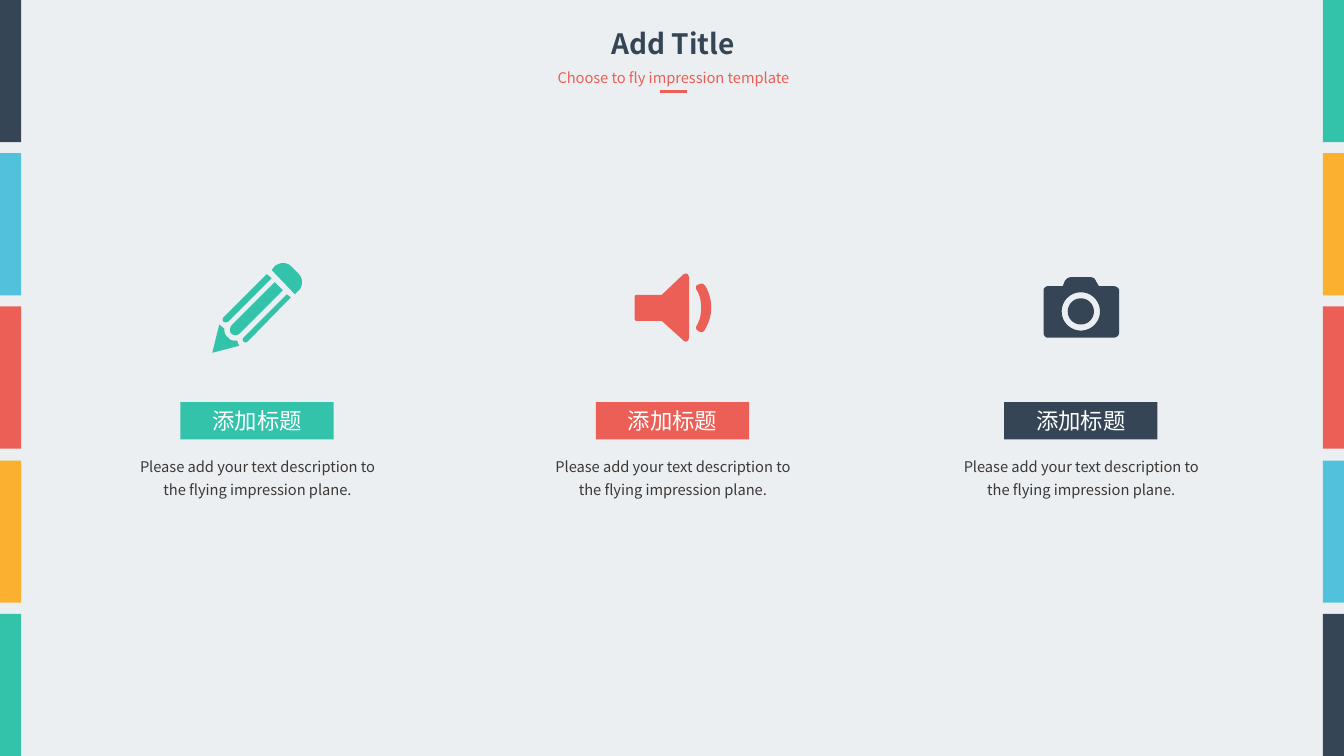
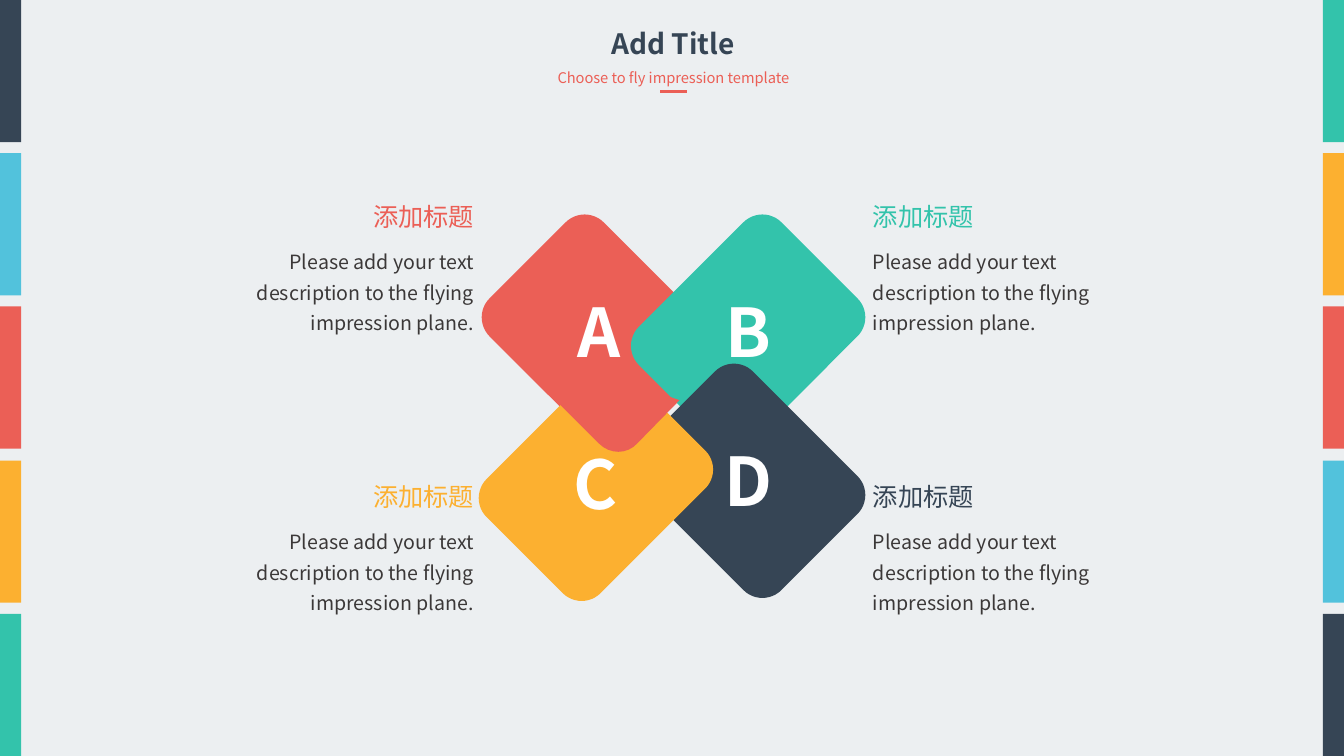
import math

from lxml import etree
from pptx import Presentation
from pptx import util as u
from pptx.dml.color import RGBColor
from pptx.enum import shapes, text
from pptx.oxml.ns import qn

PX = 9144  # 100 px to the inch
WIDTH, HEIGHT = 1333, 750

FONT = "Noto Sans CJK SC"
PAPER, INK, WHITE = "ECEFF1", "3B3838", "FFFFFF"
GREEN, AMBER, RED, BLUE, NAVY = "33C3AB", "FCB030", "EB5F56", "52C2DC", "364555"
BAND_COLOURS = [GREEN, AMBER, RED, BLUE, NAVY]

LEFT, CENTRE, RIGHT = text.PP_ALIGN.LEFT, text.PP_ALIGN.CENTER, text.PP_ALIGN.RIGHT
RECT = shapes.MSO_SHAPE.RECTANGLE
ROUNDED = shapes.MSO_SHAPE.ROUNDED_RECTANGLE

HEADING = "添加标题"
DESCRIPTION = "Please add your text description to the flying impression plane."


def colour(value):
    return RGBColor.from_string(value)


def emu(*lengths):
    return [round(length * PX) for length in lengths]


# Text and shapes

def write(shape, words, size, ink, align=CENTRE, bold=False, spacing=None,
          anchor=text.MSO_ANCHOR.TOP):
    frame = shape.text_frame
    frame.word_wrap = True
    frame.auto_size = text.MSO_AUTO_SIZE.NONE
    frame.vertical_anchor = anchor
    frame.text = words
    para = frame.paragraphs[0]
    para.alignment = align
    if spacing:
        para.line_spacing = spacing
    span = para.runs[0]
    span.font.size = u.Pt(size)
    span.font.bold = bold
    span.font.color.rgb = colour(ink)
    span.font.name = FONT
    east_asian = etree.SubElement(span._r.get_or_add_rPr(), qn("a:ea"))
    east_asian.set("typeface", FONT)


def add_text(page, box, words, size, ink, **style):
    write(page.shapes.add_textbox(*emu(*box)), words, size, ink, **style)


def paint(shape, fill):
    shape.shadow.inherit = False
    shape.fill.solid()
    shape.fill.fore_color.rgb = colour(fill)
    shape.line.fill.background()


def add_block(page, kind, box, fill):
    block = page.shapes.add_shape(kind, *emu(*box))
    paint(block, fill)
    return block


# Outlines: a pair is a straight step, six numbers are a Bezier step

def flatten(contour, steps=8):
    points = []
    for step in contour:
        if len(step) == 2:
            points.append(step)
            continue
        corners = [points[-1], step[:2], step[2:4], step[4:]]
        for i in range(1, steps + 1):
            t = i / steps
            weights = [(1 - t) ** 3, 3 * t * (1 - t) ** 2, 3 * t * t * (1 - t), t ** 3]
            points.append(tuple(sum(w * corner[axis] for w, corner in zip(weights, corners))
                                for axis in (0, 1)))
    return points


def circle(x, y, radius, count=48):
    angles = [2 * math.pi * i / count for i in range(count)]
    return [(x + radius * math.cos(a), y + radius * math.sin(a)) for a in angles]


def add_outline(page, left, top, contours, fill):
    builder = None
    for contour in contours:
        points = [emu(left + x, top + y) for x, y in flatten(contour)]
        if builder is None:
            builder = page.shapes.build_freeform(*points[0], scale=1.0)
        else:
            builder.move_to(*points[0])
        builder.add_line_segments(points[1:], close=True)
    paint(builder.convert_to_shape(), fill)


PENCIL = [
    [(86, 28), (82, 32), (59, 8), (62, 4), (67, 0, 74, 0, 78, 4), (86, 12),
     (90, 16, 90, 24, 86, 28)],
    [(31, 75), (30, 76, 30, 78, 31, 79), (32, 80, 34, 80, 35, 79), (78, 35), (74, 32)],
    [(11, 55), (10, 56, 10, 58, 11, 59), (12, 60, 14, 60, 16, 59), (59, 16), (54, 12)],
    [(62, 20), (19, 63), (17, 66, 17, 69, 19, 71), (21, 73, 25, 73, 27, 71), (70, 28)],
    [(27, 83), (26, 82, 25, 80, 25, 78), (23, 78), (20, 78, 17, 77, 16, 75),
     (13, 73, 12, 70, 12, 67), (12, 66), (7, 62), (0, 90)],
]
SPEAKER = [
    [(47, 2), (49, 0, 50, 0, 52, 0), (53, 1, 54, 2, 54, 5), (54, 62),
     (54, 65, 53, 67, 52, 67), (50, 68, 49, 67, 47, 65), (27, 47), (2, 47),
     (1, 47, 0, 46, 0, 44), (0, 23), (0, 22, 1, 21, 2, 21), (27, 21)],
    [(63, 11), (65, 10, 66, 10, 67, 10), (68, 10, 69, 11, 70, 12),
     (74, 19, 76, 26, 76, 34), (76, 41, 74, 48, 70, 55), (69, 57, 68, 58, 66, 58),
     (65, 58, 64, 57, 63, 57), (62, 56, 61, 55, 61, 54), (61, 53, 61, 52, 62, 51),
     (65, 45, 66, 40, 66, 34), (66, 28, 65, 22, 62, 17), (61, 16, 61, 15, 61, 13),
     (61, 12, 62, 11, 63, 11)],
]
CAMERA = [
    [(70, 9), (72, 9, 75, 11, 75, 13), (75, 55), (75, 58, 72, 60, 70, 60), (4, 60),
     (2, 60, 0, 58, 0, 55), (0, 13), (0, 11, 2, 9, 4, 9), (19, 9), (21, 4),
     (23, 1, 25, 0, 28, 0), (46, 0), (49, 0, 51, 1, 52, 4), (55, 9)],
    circle(37, 34, 19),
    circle(37, 34, 13),
]
# Lower corner of diamond A, laid over diamond C
OVERLAP = [[(0, 7), (30, 7, 56, 0, 85, 0), (122, 12), (113, 21, 120, 24, 150, 34),
            (108, 77), (98, 88, 81, 88, 70, 77)]]


# Shared parts

def add_bands(page):
    wide, tall = 21, 141
    pitch = (HEIGHT - tall) / (len(BAND_COLOURS) - 1)
    for left, fills in ((0, BAND_COLOURS[::-1]), (WIDTH - wide, BAND_COLOURS)):
        for i, fill in enumerate(fills):
            add_block(page, RECT, (left, round(i * pitch), wide, tall), fill)


def add_header(page):
    title = page.shapes.title
    title.left, title.top, title.width, title.height = emu(568, 21, 199, 44)
    write(title, "Add Title", 20, NAVY, bold=True)
    add_text(page, (493, 58, 350, 31), "Choose to fly impression template", 10.5, RED,
             spacing=1.3)
    rule = page.shapes.add_connector(shapes.MSO_CONNECTOR.STRAIGHT, *emu(655, 91, 681, 91))
    rule.line.color.rgb = colour(RED)
    rule.line.width = u.Pt(2.25)
    etree.SubElement(rule._element.spPr, qn("a:effectLst"))


def add_page(deck):
    page = deck.slides.add_slide(deck.slide_layouts[5])
    add_bands(page)
    add_header(page)
    return page


# Icon slide

def add_icon_column(page, left, top, icon, size, fill):
    column, middle = 271, 45
    wide, tall = size
    add_outline(page, left + (column - wide) / 2, top + middle - tall / 2, icon, fill)
    label = add_block(page, RECT, (left + 59, top + 139, 152, 37), fill)
    write(label, HEADING, 16, WHITE, anchor=text.MSO_ANCHOR.MIDDLE)
    add_text(page, (left, top + 184, column, 54), DESCRIPTION, 10.5, INK, spacing=1.3)


def build_icon_slide(deck):
    page = add_page(deck)
    for left, icon, size, fill in ((120, PENCIL, (90, 90), GREEN),
                                   (532, SPEAKER, (76, 67), RED),
                                   (937, CAMERA, (75, 60), NAVY)):
        add_icon_column(page, left, 260, icon, size, fill)


# Diamond slide

def add_caption(page, left, top, wide, align, ink):
    heading = 120
    indent = wide - heading if align == RIGHT else 0
    add_text(page, (left + indent, top, heading, 40), HEADING, 18, ink, align=align)
    add_text(page, (left, top + 41, wide, 102), DESCRIPTION, 14, INK, align=align,
             spacing=1.3)


def add_diamond(page, x, y, wide, tall, fill):
    diamond = add_block(page, ROUNDED, (x - wide / 2, y - tall / 2, wide, tall), fill)
    diamond.rotation = 45


def build_diamond_slide(deck):
    page = add_page(deck)
    long, short = 200, 160
    diamonds = [("A", 594, 329, long, short, RED), ("B", 742, 329, short, long, GREEN),
                ("D", 742, 477, long, short, NAVY), ("C", 591, 480, short, long, AMBER)]
    for _, *place in diamonds:
        add_diamond(page, *place)
    add_outline(page, 524, 363, OVERLAP, RED)
    for letter, x, y, *_ in diamonds:
        add_text(page, (x - 60, y - 46, 120, 91), letter, 48, WHITE, bold=True)

    captions = ((195, RED, GREEN), (473, AMBER, NAVY))
    for top, left_ink, right_ink in captions:
        add_caption(page, 172, top, 308, RIGHT, left_ink)
        add_caption(page, 856, top, 305, LEFT, right_ink)


def main():
    deck = Presentation()
    deck.slide_width, deck.slide_height = emu(WIDTH, HEIGHT)
    backdrop = deck.slide_master.background.fill
    backdrop.solid()
    backdrop.fore_color.rgb = colour(PAPER)
    build_icon_slide(deck)
    build_diamond_slide(deck)
    deck.save("out.pptx")


if __name__ == "__main__":
    main()
